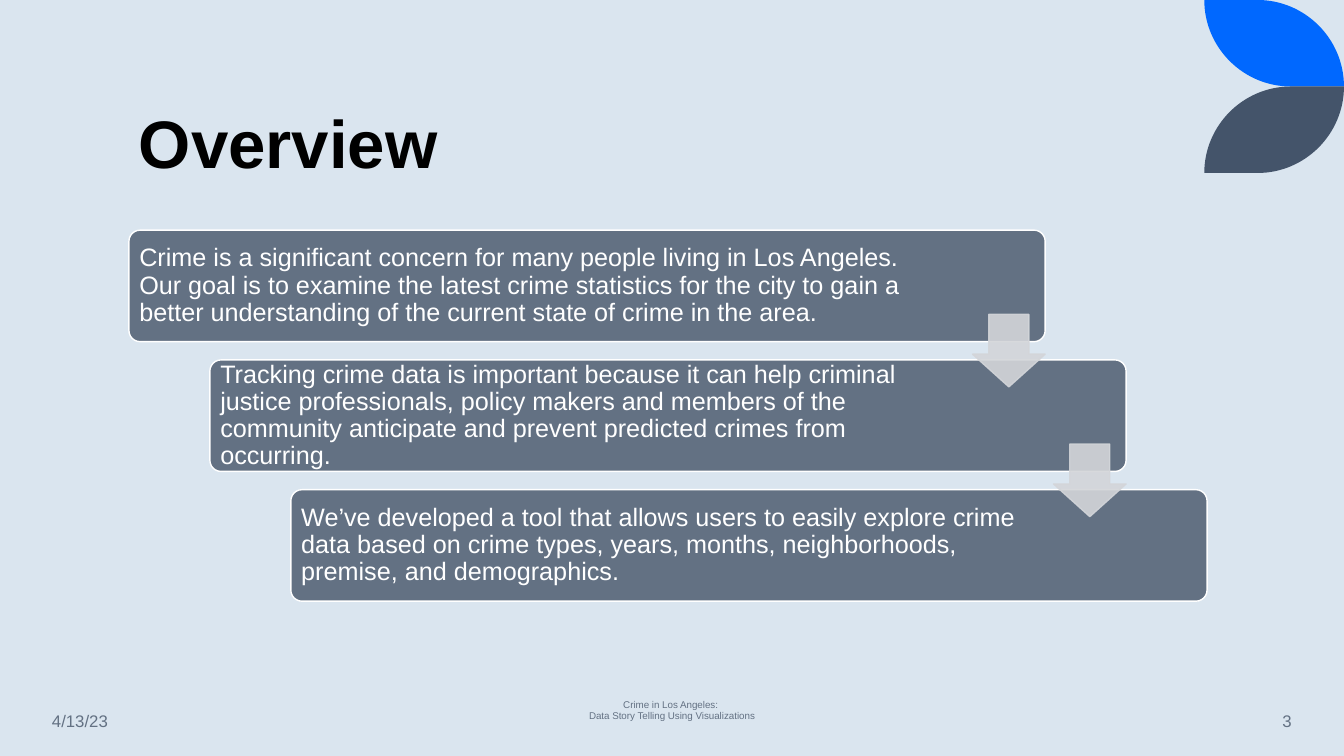
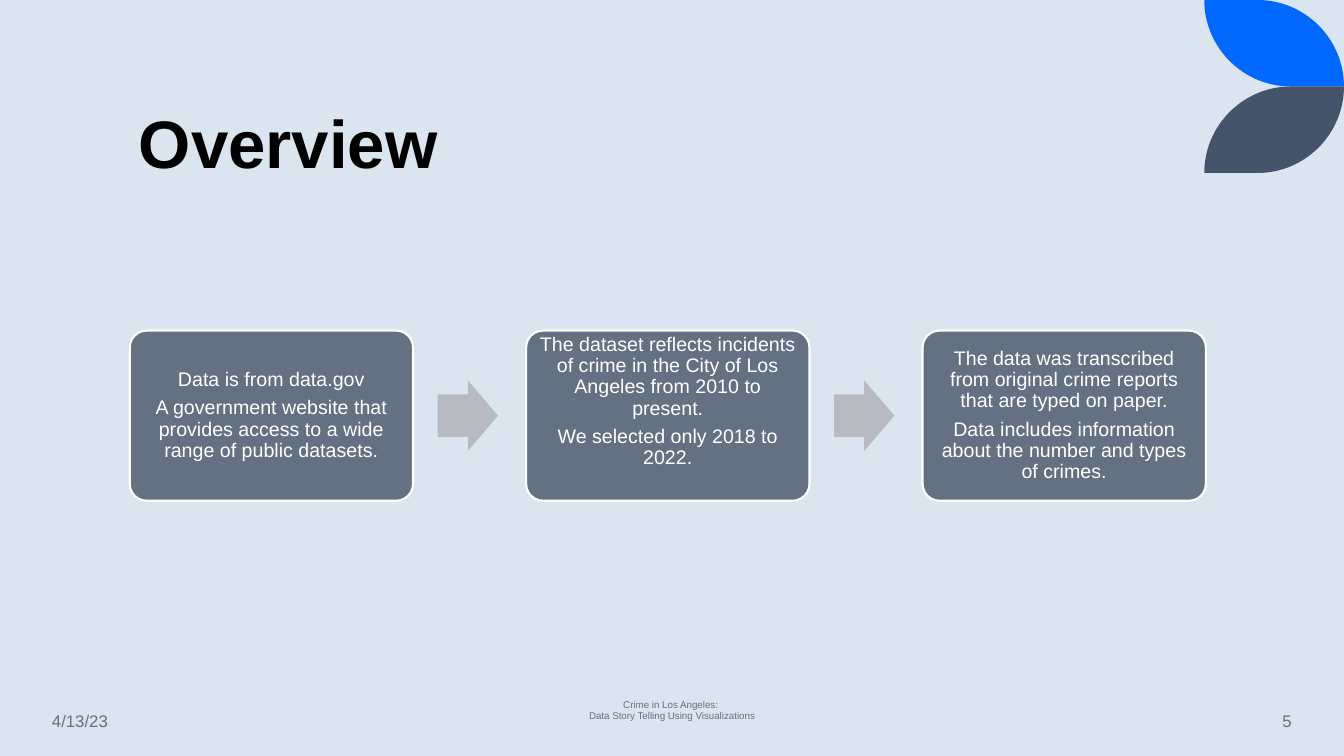
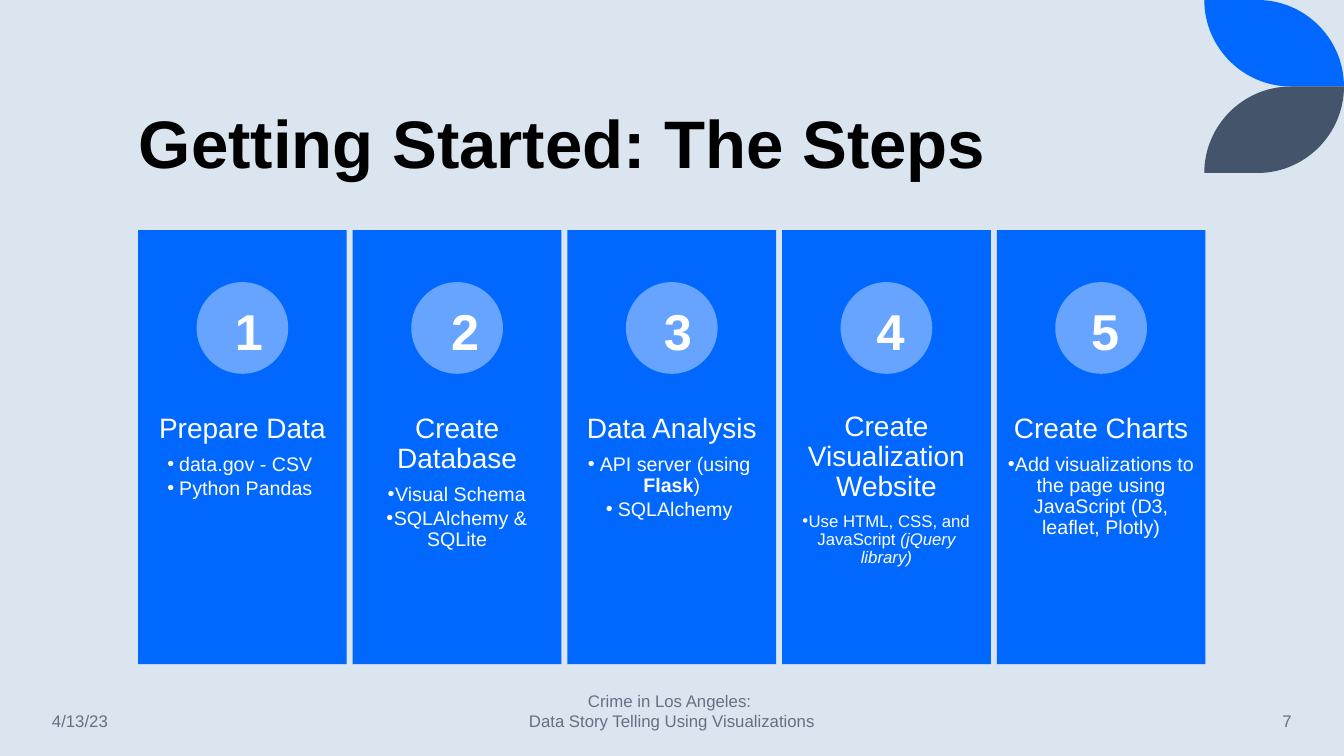
from dataclasses import dataclass

from lxml import etree
from pptx import Presentation
from pptx import util as u
from pptx.dml.color import RGBColor
from pptx.enum import shapes, text
from pptx.oxml.ns import qn

BACKDROP, BLUE, LIGHT_BLUE, NAVY = "DAE5EF", "0068FF", "66A4FF", "44546A"
SLATE, SILVER, GREY, WHITE, BLACK = "637183", "D3D5D9", "B7BBC1", "FFFFFF", "000000"
FONT = "Arial"
SLIDE_W, SLIDE_H = 33.87, 19.05
LEAF_W, LEAF_H = 3.52, 2.18
ARC = 0.55  # control point distance of a quarter circle, per radius
BODY_TOP = 5.8
FOOTER_LINES = ("Crime in Los Angeles: ", "Data Story Telling Using Visualizations")

LEFT, CENTER, RIGHT = text.PP_ALIGN.LEFT, text.PP_ALIGN.CENTER, text.PP_ALIGN.RIGHT
TOP, MIDDLE, BOTTOM = text.MSO_ANCHOR.TOP, text.MSO_ANCHOR.MIDDLE, text.MSO_ANCHOR.BOTTOM
Preset = shapes.MSO_SHAPE


@dataclass(frozen=True)
class Box:
    """Left, top, width and height in centimetres."""
    left: float
    top: float
    width: float
    height: float

    def lengths(self) -> list:
        return [u.Cm(v) for v in (self.left, self.top, self.width, self.height)]


@dataclass(frozen=True)
class Run:
    words: str
    bold: bool = False
    italic: bool = False


@dataclass(frozen=True)
class Para:
    runs: tuple[Run, ...]
    size: float
    color: str = WHITE
    align: int = CENTER
    spacing: float = 0.9
    after: float = 0
    bullet_hang: float = 0


@dataclass(frozen=True)
class Goal:
    words: str
    right_inset: float


@dataclass(frozen=True)
class Card:
    lines: tuple[str, ...]
    bottom_inset: float = 0.15


@dataclass(frozen=True)
class Step:
    heading: str
    bullets: tuple[tuple[Run, ...], ...]
    number_left: float
    hang: float
    size: float = 14
    inset: float = 0.28


GOALS = (
    Goal("Crime is a significant concern for many people living in Los Angeles. Our goal is to "
         "examine the latest crime statistics for the city to gain a better understanding of the "
         "current state of crime in the area.", 3.04),
    Goal("Tracking crime data is important because it can help criminal justice professionals, "
         "policy makers and members of the community anticipate and prevent predicted crimes "
         "from occurring.", 4.03),
    Goal("We’ve developed a tool that allows users to easily explore crime data based on crime "
         "types, years, months, neighborhoods, premise, and demographics.", 4.03),
)

CARDS = (
    Card(("Data is from data.gov",
          "A government website that provides access to a wide range of public datasets.")),
    Card(("The dataset reflects incidents of crime in the City of Los Angeles from 2010 to present.",
          "We selected only 2018 to 2022."), bottom_inset=0.86),
    Card(("The data was transcribed from original crime reports that are typed on paper.",
          "Data includes information about the number and types of crimes.")),
)

STEPS = (
    Step("Prepare Data", ((Run("data.gov - CSV"),), (Run("Python Pandas"),)), 5.67, 0.3),
    Step("Create Database", ((Run("Visual Schema"),), (Run("SQLAlchemy & SQLite"),)), 11.12, 0.19),
    Step("Data Analysis",
         ((Run("API server (using "), Run("Flask", bold=True), Run(")")), (Run("SQLAlchemy"),)),
         16.48, 0.3),
    Step("Create Visualization Website",
         ((Run("Use HTML, CSS, and JavaScript "), Run("(jQuery library)", italic=True)),),
         21.84, 0.16, size=12, inset=0.23),
    Step("Create Charts",
         ((Run("Add visualizations to the page using JavaScript (D3, leaflet, Plotly)"),),),
         27.25, 0.19),
)


def rgb(code: str) -> RGBColor:
    return RGBColor.from_string(code)


def assign(target, values: dict) -> None:
    for name, value in values.items():
        setattr(target, name, value)


def add_bullet(line, hang: float) -> None:
    line.level = 1
    properties = line._p.get_or_add_pPr()
    properties.set("marL", "0")
    properties.set("indent", str(-u.Cm(hang)))
    etree.SubElement(properties, qn("a:buFont")).set("typeface", FONT)
    etree.SubElement(properties, qn("a:buChar")).set("char", "•")


def write(frame, paras: list[Para], anchor=MIDDLE, insets=(0.25, 0.13, 0.25, 0.13)) -> None:
    """Fill a text frame; insets run left, top, right, bottom."""
    sides = ("margin_left", "margin_top", "margin_right", "margin_bottom")
    assign(frame, {"word_wrap": True, "vertical_anchor": anchor,
                   **{side: u.Cm(inset) for side, inset in zip(sides, insets)}})
    for index, para in enumerate(paras):
        line = frame.add_paragraph() if index else frame.paragraphs[0]
        assign(line, {"alignment": para.align, "line_spacing": para.spacing,
                      "space_before": u.Pt(0), "space_after": u.Pt(para.after)})
        if para.bullet_hang:
            add_bullet(line, para.bullet_hang)
        for part in para.runs:
            run = line.add_run()
            run.text = part.words
            assign(run.font, {"name": FONT, "size": u.Pt(para.size),
                              "bold": part.bold, "italic": part.italic})
            run.font.color.rgb = rgb(para.color)


def add_text(slide, box: Box, paras: list[Para], **layout) -> None:
    write(slide.shapes.add_textbox(*box.lengths()).text_frame, paras, **layout)


def paint(shape, fill: str, line: str | None = None, width: float = 1) -> None:
    shape.shadow.inherit = False
    shape.fill.solid()
    shape.fill.fore_color.rgb = rgb(fill)
    if line:
        shape.line.color.rgb = rgb(line)
        shape.line.width = u.Pt(width)
    else:
        shape.line.fill.background()


def add_preset(slide, preset, box: Box, fill: str, line: str | None = None,
               width: float = 1, adjust: tuple[float, ...] = ()):
    shape = slide.shapes.add_shape(preset, *box.lengths())
    paint(shape, fill, line, width)
    for index, value in enumerate(adjust):
        shape.adjustments[index] = value
    return shape


def set_opacity(shape, percent: int) -> None:
    for color in shape._element.spPr.iter(qn("a:srgbClr")):
        etree.SubElement(color, qn("a:alpha")).set("val", str(percent * 1000))


def add_leaf(slide, tip_y: float, direction: int, color: str) -> None:
    """Two quarter circles that meet in tips; direction 1 opens down, -1 up."""
    left, right, radius, pull = SLIDE_W - LEAF_W, SLIDE_W, LEAF_H, ARC * LEAF_H
    outline = [
        (right - radius, 0),
        (right - radius + pull, 0), (right, radius - pull), (right, radius),
        (left + radius, radius),
        (left + radius - pull, radius), (left, pull), (left, 0),
    ]
    builder = slide.shapes.build_freeform(u.Cm(left), u.Cm(tip_y))
    builder.add_line_segments([(u.Cm(x), u.Cm(tip_y + direction * y)) for x, y in outline],
                              close=True)
    leaf = builder.convert_to_shape()
    paint(leaf, color)
    segments = list(leaf._element.spPr.iter(qn("a:lnTo")))
    for first in (1, 5):
        curve, *rest = segments[first:first + 3]
        curve.tag = qn("a:cubicBezTo")
        for segment in rest:
            curve.append(segment[0])
            segment.getparent().remove(segment)


def add_base(deck, title: str, number: int, footer_size: float = 7, footer_spacing: float = 0.9):
    """New slide with the leaves, title, date, footer and number."""
    slide = deck.slides.add_slide(deck.slide_layouts[6])
    add_leaf(slide, 0, 1, BLUE)
    add_leaf(slide, 2 * LEAF_H, -1, NAVY)
    add_text(slide, Box(3.25, 1.07, 27.15, 3.68),
             [Para((Run(title, bold=True),), 48, BLACK, LEFT)], anchor=BOTTOM)
    for left, width, words, align in ((1.06, 4.72, "4/13/23", LEFT),
                                      (28.2, 4.6, str(number), RIGHT)):
        add_text(slide, Box(left, 17.65, width, 1.02),
                 [Para((Run(words),), 12, SLATE, align, spacing=1)])
    add_text(slide, Box(11.22, 17.4, 11.43, 1.02),
             [Para((Run(words),), footer_size, SLATE, spacing=footer_spacing)
              for words in FOOTER_LINES])
    return slide


def draw_goals(slide) -> None:
    boxes = [Box(3.25 + 2.04 * i, BODY_TOP + 3.27 * i, 23.09, 2.81) for i in range(len(GOALS))]
    for goal, box in zip(GOALS, boxes):
        panel = add_preset(slide, Preset.ROUNDED_RECTANGLE, box, SLATE, WHITE, 1, (0.1,))
        write(panel.text_frame, [Para((Run(goal.words),), 18, align=LEFT)],
              insets=(0.18, 0.18, goal.right_inset, 0.18))
    side = 1.83
    for box in boxes[:-1]:
        place = Box(box.left + box.width - side, box.top + 2.12, side, side)
        arrow = add_preset(slide, Preset.DOWN_ARROW, place, SILVER, SILVER, 1, (0.55, 0.45))
        set_opacity(arrow, 90)


def draw_cards(slide) -> None:
    top, width, height, pitch = 8.33, 7.14, 4.29, 9.99
    arrow_w, arrow_h = 1.52, 1.78
    for index, card in enumerate(CARDS):
        left = 3.27 + pitch * index
        panel = add_preset(slide, Preset.ROUNDED_RECTANGLE, Box(left, top, width, height),
                           SLATE, WHITE, 1.5, (0.1,))
        write(panel.text_frame, [Para((Run(words),), 14, after=5) for words in card.lines],
              insets=(0.15, 0.15, 0.15, card.bottom_inset))
        if index < len(CARDS) - 1:
            place = Box(left + 7.76, top + (height - arrow_h) / 2, arrow_w, arrow_h)
            add_preset(slide, Preset.RIGHT_ARROW, place, GREY, adjust=(0.6, 0.5))


def draw_steps(slide) -> None:
    width, pitch, circle = 5.26, 5.41, 2.31
    for index, step in enumerate(STEPS):
        left = 3.48 + pitch * index
        add_preset(slide, Preset.RECTANGLE, Box(left, BODY_TOP, width, 10.94), BLUE)
        add_preset(slide, Preset.OVAL,
                   Box(left + (width - circle) / 2, 7.11, circle, circle), LIGHT_BLUE)
        add_text(slide, Box(step.number_left, 7.44, 0.97, 1.8),
                 [Para((Run(str(index + 1), bold=True),), 36, spacing=1)], anchor=TOP)
        heading = Para((Run(step.heading),), 20, after=7)
        bullets = [Para(runs, step.size, after=2, bullet_hang=step.hang) for runs in step.bullets]
        add_text(slide, Box(left, 10.16, width, 4.37), [heading, *bullets],
                 anchor=TOP, insets=(step.inset,) * 4)


def main() -> None:
    deck = Presentation()
    deck.slide_width, deck.slide_height = u.Cm(SLIDE_W), u.Cm(SLIDE_H)
    backdrop = deck.slide_master.background.fill
    backdrop.solid()
    backdrop.fore_color.rgb = rgb(BACKDROP)
    draw_goals(add_base(deck, "Overview", 3))
    draw_cards(add_base(deck, "Overview", 5))
    draw_steps(add_base(deck, "Getting Started: The Steps", 7, footer_size=12, footer_spacing=1))
    deck.save("out.pptx")


if __name__ == "__main__":
    main()
